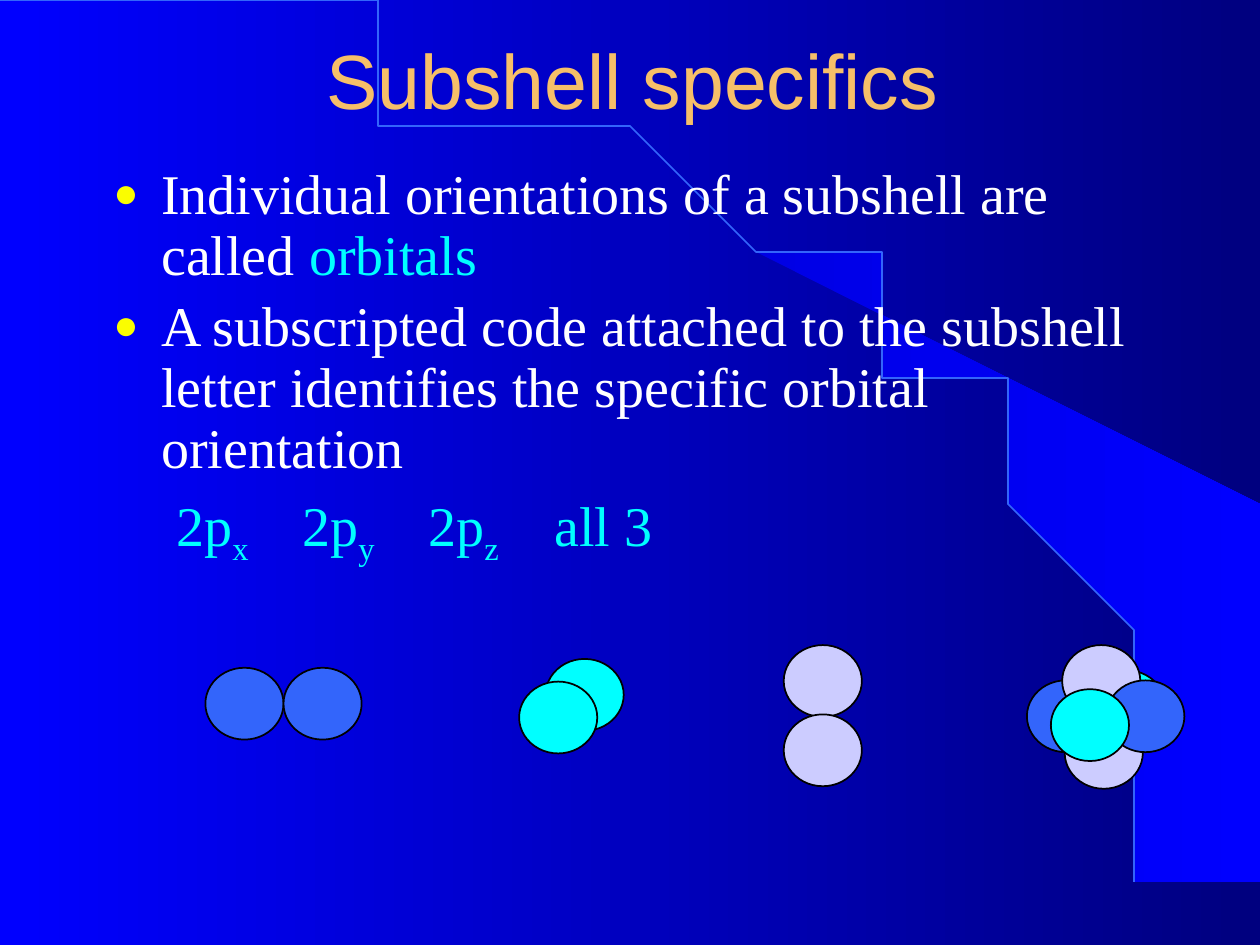
import math
from lxml import etree
from pptx import Presentation
from pptx import util as u
from pptx.dml.color import RGBColor
from pptx.enum import shapes, text
from pptx.oxml.ns import qn

COLORS = {
    "bright": "0000FF", "navy": "00007F", "royal": "0000E5", "blue": "3365FB",
    "cyan": "00FFFF", "lilac": "CCCCFF", "gold": "F6BF69", "yellow": "FAFD00",
    "white": "FFFFFF", "black": "000000",
}


def add_span(para, words, size=32, color="white", font="Times New Roman", baseline=0):
    span = para.add_run()
    span.text = words
    span.font.size = u.Pt(size)
    span.font.name = font
    span.font.color.rgb = RGBColor.from_string(COLORS[color])
    if baseline:
        span.font._element.set("baseline", str(baseline * 1000))


def set_gradient(fill, *colors):
    fill.gradient()
    fill.gradient_angle = 0
    for stop, color, position in zip(fill.gradient_stops, colors, (0, 1)):
        stop.color.rgb = RGBColor.from_string(COLORS[color])
        stop.position = position


deck = Presentation()
deck.slide_width, deck.slide_height = u.Inches(10), u.Inches(7.5)
page = deck.slides.add_slide(deck.slide_layouts[1])
set_gradient(page.background.fill, "bright", "navy")

beam_points = [
    (9.2, 7.48), (9.99, 7.49), (9.99, 4.23), (5.89, 1.73), (6.24, 1.99), (6.53, 2.22),
    (6.85, 2.5), (7.16, 2.8), (7.62, 3.3), (8.03, 3.84), (8.32, 4.31), (8.58, 4.79),
    (8.78, 5.28), (8.93, 5.72), (9.03, 6.09), (9.13, 6.56), (9.17, 6.96),
]
arc_points = [
    (0.01 + 9.17 * math.sin(math.radians(angle)), 7.49 - 7.47 * math.cos(math.radians(angle)))
    for angle in range(0, 91, 2)
]
outlines = []
for points, closed in ((beam_points, True), (arc_points, False)):
    builder = page.shapes.build_freeform(*points[0], scale=u.Inches(1))
    builder.add_line_segments(points[1:], close=closed)
    outline = builder.convert_to_shape()
    outline.shadow.inherit = False
    outlines.append(outline)
beam, arc = outlines
set_gradient(beam.fill, "royal", "bright")
beam.line.fill.background()
arc.fill.background()
arc.line.color.rgb = RGBColor.from_string(COLORS["blue"])
arc.line.width = u.Pt(1)

lobes = [
    (8.15, 5.4, "blue"), (8.63, 5.32, "cyan"),
    (1.63, 5.3, "blue"), (2.25, 5.3, "blue"),
    (4.33, 5.23, "cyan"), (4.12, 5.41, "cyan"),
    (6.22, 5.12, "lilac"), (6.22, 5.67, "lilac"),
    (8.43, 5.12, "lilac"), (8.45, 5.69, "lilac"),
    (8.78, 5.4, "blue"), (8.34, 5.47, "cyan"),
]
for left, top, color in lobes:
    lobe = page.shapes.add_shape(
        shapes.MSO_SHAPE.OVAL, u.Inches(left), u.Inches(top), u.Inches(0.62), u.Inches(0.57))
    lobe.shadow.inherit = False
    lobe.fill.solid()
    lobe.fill.fore_color.rgb = RGBColor.from_string(COLORS[color])
    lobe.line.color.rgb = RGBColor.from_string(COLORS["black"])
    lobe.line.width = u.Pt(1)

title, body = page.shapes.title, page.placeholders[1]
for box, place, anchor in (
    (title, (0.77, 0, 8.5, 1.25), text.MSO_ANCHOR.MIDDLE),
    (body, (0.8, 1.27, 8.68, 3.35), text.MSO_ANCHOR.TOP),
):
    box.left, box.top, box.width, box.height = map(u.Inches, place)
    box.text_frame.word_wrap = True
    box.text_frame.auto_size = text.MSO_AUTO_SIZE.NONE
    box.text_frame.vertical_anchor = anchor
for box in (body, title):
    page.shapes._spTree.remove(box._element)
    page.shapes._spTree.insert_element_before(box._element, "p:extLst")
    page.shapes._spTree.insert(page.shapes._spTree.index(outlines[1]._element) + 3, box._element)

heading = title.text_frame.paragraphs[0]
heading.alignment = text.PP_ALIGN.CENTER
add_span(heading, "Subshell specifics", size=44, color="gold", font="Arial")

bullets = [
    [("Individual orientations of a subshell are called ", "white"), ("orbitals", "cyan")],
    [("A subscripted code attached to the subshell letter identifies "
      "the specific orbital orientation", "white")],
]
frame = body.text_frame
for index, parts in enumerate(bullets):
    para = frame.paragraphs[0] if index == 0 else frame.add_paragraph()
    props = para._p.get_or_add_pPr()
    props.set("marL", str(u.Inches(0.38)))
    props.set("indent", str(u.Inches(-0.38)))
    bullet_color = etree.SubElement(props, qn("a:buClr"))
    etree.SubElement(bullet_color, qn("a:srgbClr"), val=COLORS["yellow"])
    etree.SubElement(props, qn("a:buSzPct"), val="75000")
    etree.SubElement(props, qn("a:buFont"), typeface="Times New Roman")
    etree.SubElement(props, qn("a:buChar"), char="●")
    for words, color in parts:
        add_span(para, words, color=color)

labels = frame.add_paragraph()
props = labels._p.get_or_add_pPr()
props.set("marL", "0")
props.set("indent", "0")
etree.SubElement(props, qn("a:buNone"))
tabs = etree.SubElement(props, qn("a:tabLst"))
for stop in (1.04, 3.29, 5.21, 7.1):
    etree.SubElement(tabs, qn("a:tab"), pos=str(u.Inches(stop)), algn="l")
for axis in "xyz":
    add_span(labels, "\t2p", color="cyan")
    add_span(labels, axis, color="cyan", baseline=-25)
add_span(labels, "\tall 3", color="cyan")

for index, para in enumerate(frame.paragraphs):
    para.line_spacing = 0.9
    para.space_before = u.Pt(6.4 if index else 0)

deck.save("out.pptx")
